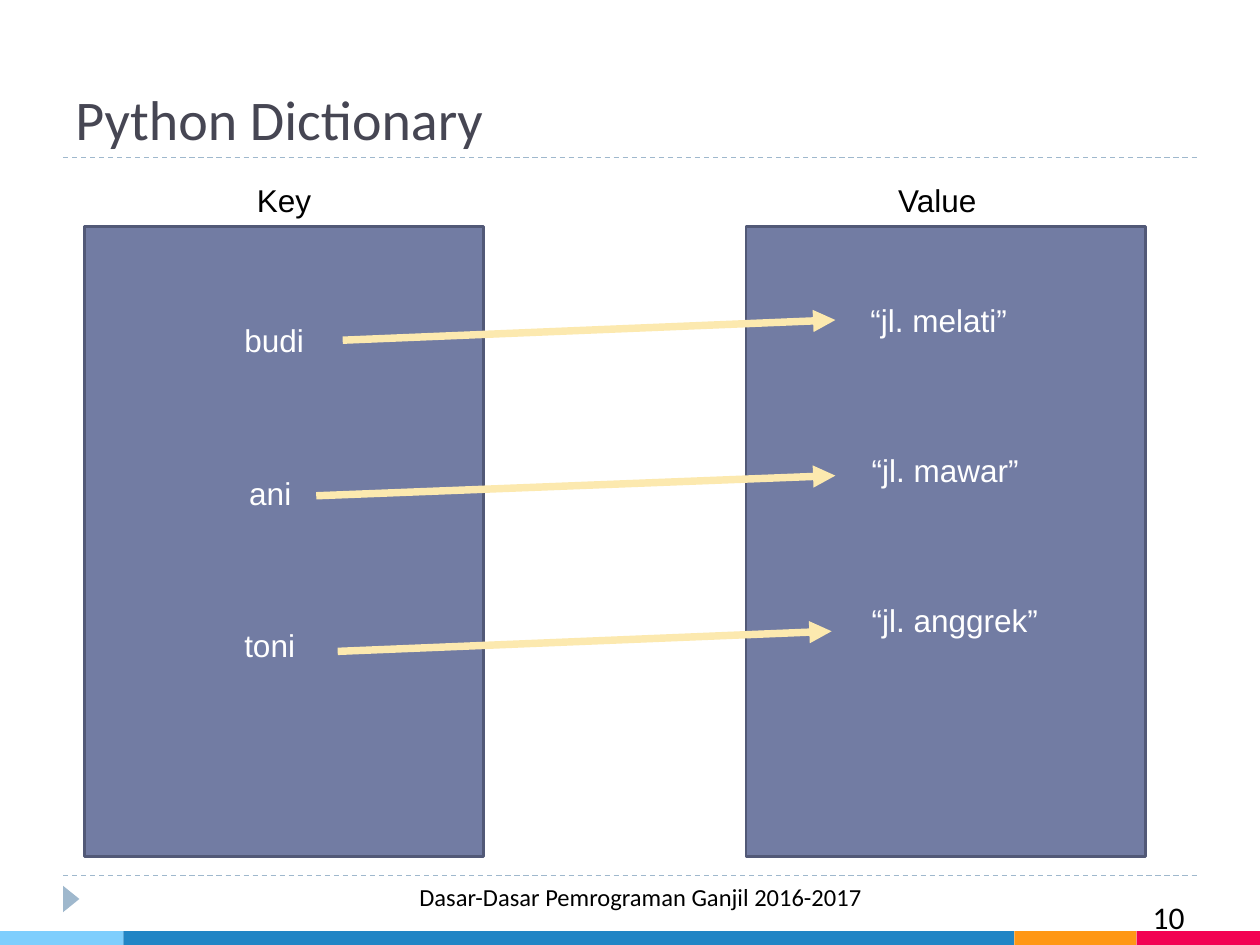
import dataclasses

import pptx
import pptx.dml.color
import pptx.enum.dml
import pptx.enum.shapes
import pptx.enum.text
import pptx.oxml.ns
import pptx.util
from lxml import etree

Align = pptx.enum.text.PP_ALIGN
Anchor = pptx.enum.text.MSO_ANCHOR
Preset = pptx.enum.shapes.MSO_SHAPE

# The page is a grid of 100 columns by 75 rows of square cells
COLUMNS, ROWS = 100, 75
PAGE_WIDTH = pptx.util.Inches(10)
CELL = PAGE_WIDTH // COLUMNS


@dataclasses.dataclass(frozen=True)
class Theme:
    heading_font: str = "Calibri"
    body_font: str = "Arial"
    title_size: float = 32
    label_size: float = 18
    footer_size: float = 14
    title: str = "464653"
    dark: str = "000000"
    light: str = "FFFFFF"
    panel: str = "727CA3"
    panel_edge: str = "525977"
    accent: str = "9FB8CD"
    arrow: str = "FCE9AF"
    strip: tuple = ("7ECEFD", "2185C5", "FF9715", "F20253")


THEME = Theme()


def cells(*counts):
    return [round(count * CELL) for count in counts]


def rgb(code):
    return pptx.dml.color.RGBColor.from_string(code)


def add_block(page, area, fill, edge=None, preset=Preset.RECTANGLE):
    block = page.shapes.add_shape(preset, *cells(*area))
    block.shadow.inherit = False
    block.fill.solid()
    block.fill.fore_color.rgb = rgb(fill)
    if edge:
        block.line.color.rgb = rgb(edge)
        block.line.width = pptx.util.Pt(1.5)
    else:
        block.line.fill.background()
    return block


def add_text(page, area, text, size, color, font=THEME.heading_font,
             align=Align.LEFT, anchor=Anchor.TOP, wrap=True):
    box = page.shapes.add_textbox(*cells(*area))
    frame = box.text_frame
    frame.word_wrap = wrap
    frame.vertical_anchor = anchor
    if not wrap:
        frame.auto_size = pptx.enum.text.MSO_AUTO_SIZE.SHAPE_TO_FIT_TEXT
    para = frame.paragraphs[0]
    para.alignment = align
    span = para.add_run()
    span.text = text
    span.font.name = font
    span.font.size = pptx.util.Pt(size)
    span.font.color.rgb = rgb(color)


def add_label(page, left, top, width, text, color):
    add_text(page, (left, top, width, 4), text, THEME.label_size, color,
             font=THEME.body_font, wrap=False)


def add_line(page, start, end, color, width):
    line = page.shapes.add_connector(
        pptx.enum.shapes.MSO_CONNECTOR.STRAIGHT, *cells(*start, *end))
    line.line.color.rgb = rgb(color)
    line.line.width = pptx.util.Pt(width)
    etree.SubElement(line._element.spPr, pptx.oxml.ns.qn("a:effectLst"))
    return line


def add_rule(page, row):
    rule = add_line(page, (5, row), (95, row), THEME.accent, 0.75)
    rule.line.dash_style = pptx.enum.dml.MSO_LINE.DASH


def add_arrow(page, start, end):
    arrow = add_line(page, start, end, THEME.arrow, 4.25)
    outline = arrow.line._get_or_add_ln()
    etree.SubElement(outline, pptx.oxml.ns.qn("a:tailEnd"), type="triangle")


def add_frame(page):
    # Dashed rules, corner marker and page number
    for row in (69.5, 12.5):
        add_rule(page, row)
    marker = add_block(page, (4.6, 70.7, 2.1, 1.3), THEME.accent,
                       preset=Preset.ISOSCELES_TRIANGLE)
    marker.rotation = 90
    add_text(page, (73.3, 70.8, 21.7, 4), "10", THEME.label_size, THEME.dark,
             align=Align.RIGHT)

    # Coloured strip along the bottom edge
    stops = (0, 9.8, 80.5, 90.2, COLUMNS)
    for left, right, fill in zip(stops, stops[1:], THEME.strip):
        add_block(page, (left, ROWS - 1.1, right - left, 1.1), fill)

    # Title and footer
    add_text(page, (5, 1.7, 90, 10.8), "Python Dictionary", THEME.title_size,
             THEME.title, anchor=Anchor.BOTTOM)
    add_text(page, (31.7, 69.5, 38.3, 4),
             "Dasar-Dasar Pemrograman Ganjil 2016-2017",
             THEME.footer_size, THEME.dark, align=Align.CENTER)


def add_mapping(page):
    # Panels with their headings
    for panel_left, left, width, heading in ((6.7, 19.4, 6.4, "Key"),
                                             (59.2, 70.3, 8.5, "Value")):
        add_block(page, (panel_left, 18, 31.7, 50), THEME.panel,
                  THEME.panel_edge)
        add_label(page, left, 13.9, width, heading, THEME.dark)

    # Left and width of each key and value, wide enough for one line
    keys = (("budi", 18.4, 6.9), ("ani", 18.8, 5.7), ("toni", 18.4, 6.2))
    values = (("“jl. melati”", 68.1, 13), ("“jl. mawar”", 68.2, 14),
              ("“jl. anggrek”", 68.2, 15.4))
    for entries, top, step in ((keys, 25, 12.1), (values, 23.4, 11.9)):
        for index, (text, left, width) in enumerate(entries):
            add_label(page, left, top + index * step, width, text, THEME.light)

    # Arrows from key to value, all with the same rise
    for index, (start, end) in enumerate(((27.2, 66.3), (25.1, 66.3),
                                          (26.8, 66))):
        row = 27 + index * 12.35
        add_arrow(page, (start, row), (end, row - 1.6))


def main():
    deck = pptx.Presentation()
    deck.slide_width = PAGE_WIDTH
    deck.slide_height = CELL * ROWS
    page = deck.slides.add_slide(deck.slide_layouts[6])
    add_frame(page)
    add_mapping(page)
    deck.save("out.pptx")


if __name__ == "__main__":
    main()
